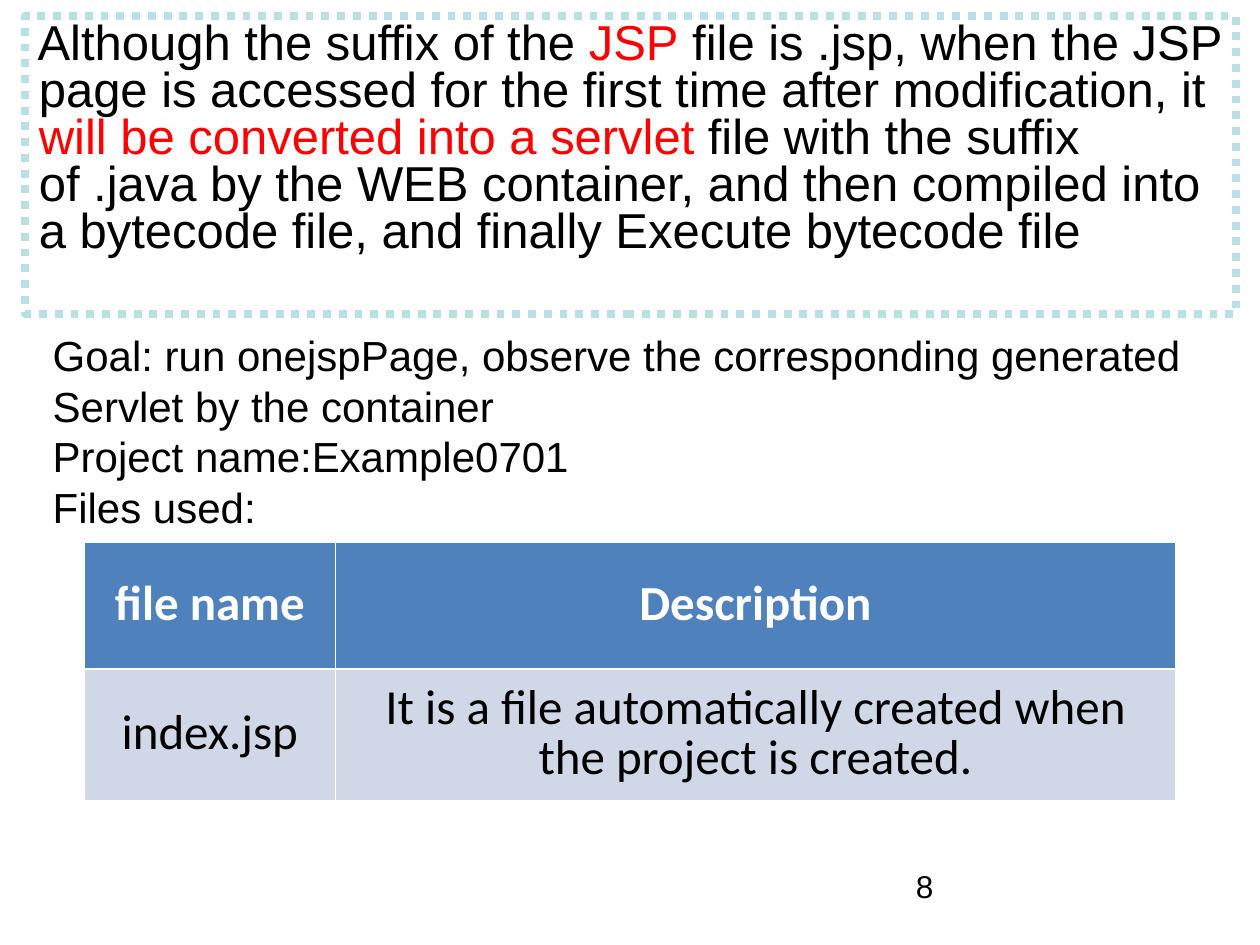
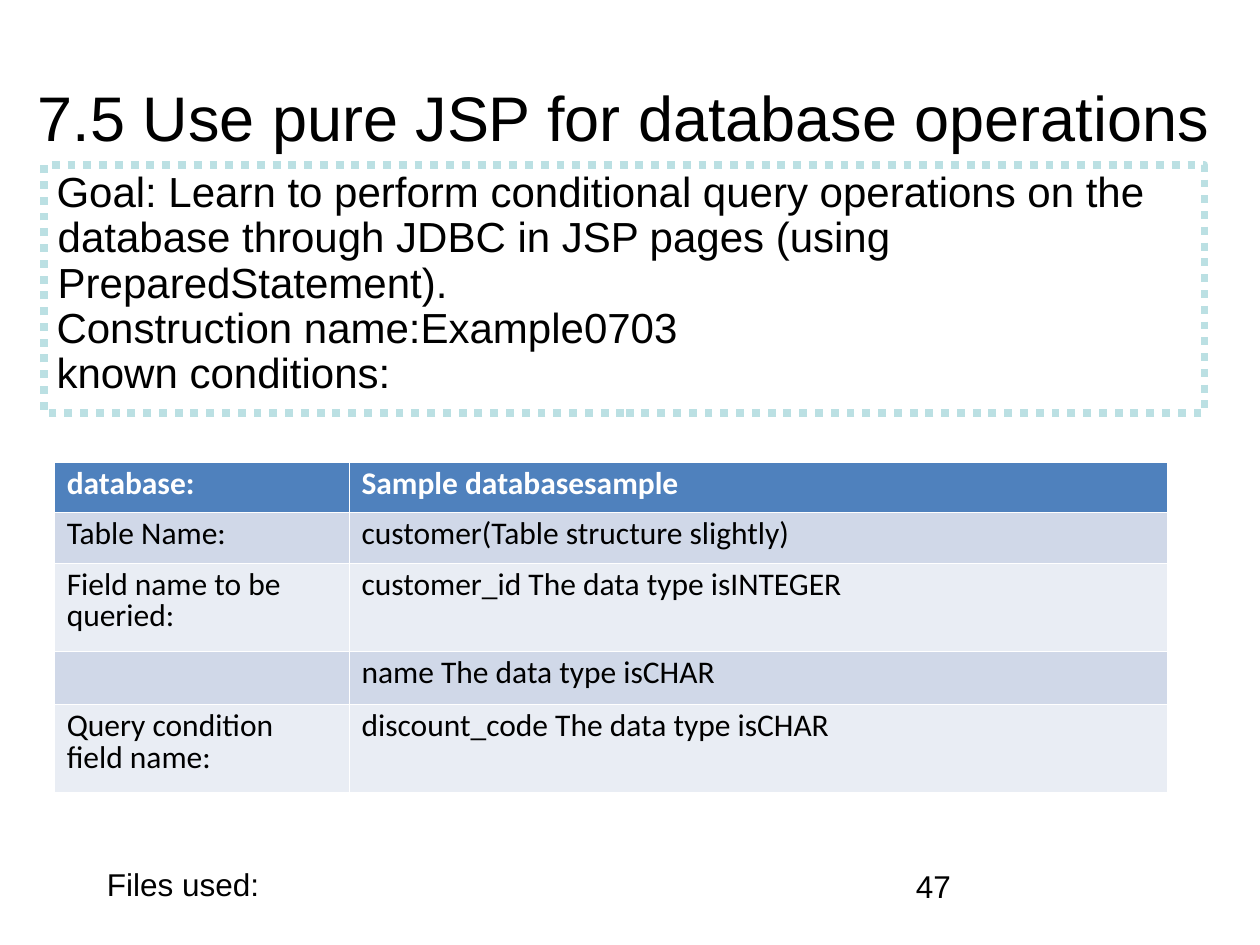
from dataclasses import dataclass

from lxml.etree import SubElement
from pptx import Presentation
from pptx.dml.color import RGBColor
from pptx.enum.dml import MSO_LINE
from pptx.enum.shapes import MSO_SHAPE
from pptx.enum.text import MSO_ANCHOR, MSO_AUTO_SIZE, PP_ALIGN
from pptx.oxml.ns import qn
from pptx.slide import Slide
from pptx.table import _Cell
from pptx.text.text import TextFrame, _Paragraph
from pptx.util import Inches, Pt


@dataclass(frozen=True)
class Theme:
    ink: str = "000000"
    accent: str = "FF0000"
    paper: str = "FFFFFF"
    frame: str = "BBE0E3"
    header: str = "4F81BD"
    bands: tuple[str, str] = ("D0D8E8", "E9EDF4")
    body_font: str = "Arial"
    table_font: str = "Calibri"
    title_size: int = 36
    large: int = 28
    medium: int = 24
    small: int = 18
    frame_width: float = 4.5
    rule: float = 0.23
    header_rule: float = 0.75
    table_spacing: float = 0.83


THEME = Theme()


@dataclass(frozen=True)
class Box:
    left: float
    top: float
    width: float
    height: float

    def emu(self) -> list[int]:
        return [Inches(v) for v in (self.left, self.top, self.width, self.height)]


@dataclass(frozen=True)
class Span:
    text: str
    accent: bool = False


@dataclass(frozen=True)
class FramedText:
    box: Box
    paragraphs: list[list[Span]]
    size: int
    spacing: float


@dataclass(frozen=True)
class Label:
    box: Box
    lines: list[str]
    size: int
    wrap: bool = True
    anchor: MSO_ANCHOR = MSO_ANCHOR.TOP


@dataclass(frozen=True)
class Grid:
    left: float
    top: float
    columns: list[float]
    heights: list[float]
    rows: list[list[str]]
    size: int
    align: PP_ALIGN = PP_ALIGN.LEFT
    anchor: MSO_ANCHOR = MSO_ANCHOR.TOP


def rgb(value: str) -> RGBColor:
    return RGBColor.from_string(value)


def style(paragraph: _Paragraph, size: int, font: str = THEME.body_font,
          color: str = THEME.ink, bold: bool = False) -> None:
    paragraph.font.name = font
    paragraph.font.size = Pt(size)
    paragraph.font.bold = bold
    paragraph.font.color.rgb = rgb(color)


def write(frame: TextFrame, paragraphs: list[list[Span]], size: int) -> None:
    for index, spans in enumerate(paragraphs):
        paragraph = frame.add_paragraph() if index else frame.paragraphs[0]
        paragraph.alignment = PP_ALIGN.LEFT
        style(paragraph, size)
        for span in spans:
            run = paragraph.add_run()
            run.text = span.text
            if len(spans) > 1:
                run.font.color.rgb = rgb(THEME.accent if span.accent else THEME.ink)


def draw_label(slide: Slide, label: Label) -> None:
    frame = slide.shapes.add_textbox(*label.box.emu()).text_frame
    frame.word_wrap = label.wrap
    if not label.wrap:
        frame.auto_size = MSO_AUTO_SIZE.SHAPE_TO_FIT_TEXT
    frame.vertical_anchor = label.anchor
    write(frame, [[Span(line)] for line in label.lines], label.size)


def draw_framed_text(slide: Slide, framed: FramedText) -> None:
    panel = slide.shapes.add_shape(MSO_SHAPE.RECTANGLE, *framed.box.emu())
    panel.shadow.inherit = False
    panel.fill.background()
    panel.line.color.rgb = rgb(THEME.frame)
    panel.line.width = Pt(THEME.frame_width)
    panel.line.dash_style = MSO_LINE.ROUND_DOT
    frame = panel.text_frame
    frame.word_wrap = True
    frame.vertical_anchor = MSO_ANCHOR.TOP
    write(frame, framed.paragraphs, framed.size)
    for paragraph in frame.paragraphs:
        paragraph.line_spacing = framed.spacing
        properties = paragraph._p.get_or_add_pPr()
        properties.set("marL", str(Inches(0.01)))
        properties.set("indent", str(-Inches(0.01)))


def set_borders(cell: _Cell, row: int) -> None:
    """Thin white rules, with a stronger one under the header row."""
    properties = cell._tc.get_or_add_tcPr()
    for side in ("lnL", "lnR", "lnT", "lnB"):
        strong = (row, side) in ((0, "lnB"), (1, "lnT"))
        width = THEME.header_rule if strong else THEME.rule
        line = SubElement(properties, qn(f"a:{side}"), w=str(Pt(width)))
        fill = SubElement(line, qn("a:solidFill"))
        SubElement(fill, qn("a:srgbClr"), val=THEME.paper)


def draw_grid(slide: Slide, grid: Grid) -> None:
    box = Box(grid.left, grid.top, sum(grid.columns), sum(grid.heights))
    table = slide.shapes.add_table(len(grid.rows), len(grid.columns), *box.emu()).table
    table.horz_banding = False
    for column, width in zip(table.columns, grid.columns):
        column.width = Inches(width)
    for r, (height, texts) in enumerate(zip(grid.heights, grid.rows)):
        table.rows[r].height = Inches(height)
        is_header = r == 0
        for c, text in enumerate(texts):
            cell = table.cell(r, c)
            set_borders(cell, r)
            cell.fill.solid()
            cell.fill.fore_color.rgb = rgb(
                THEME.header if is_header else THEME.bands[(r - 1) % 2])
            cell.vertical_anchor = grid.anchor
            cell.text = text
            paragraph = cell.text_frame.paragraphs[0]
            paragraph.alignment = grid.align
            paragraph.line_spacing = THEME.table_spacing
            style(paragraph, grid.size, THEME.table_font,
                  THEME.paper if is_header else THEME.ink, is_header)


def add_numbered_slide(deck: Presentation, number: int) -> Slide:
    slide = deck.slides.add_slide(deck.slide_layouts[6])
    draw_label(slide, Label(Box(7.17, 6.83, 2.33, 0.52), [str(number)], THEME.small))
    return slide


def build_servlet_slide(deck: Presentation) -> None:
    slide = add_numbered_slide(deck, 8)
    # How a JSP file is processed
    draw_framed_text(slide, FramedText(Box(0.2, 0.13, 9.61, 2.36), [[
        Span("Although the suffix of the "),
        Span("JSP", accent=True),
        Span(" file is .jsp, when the JSP page is accessed for the first time "
             "after modification, it "),
        Span("will be converted into a servlet ", accent=True),
        Span("file with the suffix of .java by the WEB container, and then compiled "
             "into a bytecode file, and finally Execute bytecode file"),
    ]], THEME.large, 0.8))
    # Files of the example
    draw_grid(slide, Grid(
        0.67, 4.3, [1.99, 6.67], [1.01, 1.04],
        [["file name", "Description"],
         ["index.jsp", "It is a file automatically created when the project is created."]],
        THEME.large, PP_ALIGN.CENTER, MSO_ANCHOR.MIDDLE))
    # Goal of the example
    draw_label(slide, Label(Box(0.32, 2.57, 9.24, 1.7), [
        "Goal: run onejspPage, observe the corresponding generated",
        "Servlet by the container",
        "Project name:Example0701",
        "Files used:",
    ], THEME.medium, wrap=False))


def build_database_slide(deck: Presentation) -> None:
    slide = add_numbered_slide(deck, 47)
    # Title
    draw_label(slide, Label(Box(0.2, 0.3, 9.69, 1.25),
                            ["7.5 Use pure JSP for database operations"],
                            THEME.title_size, anchor=MSO_ANCHOR.MIDDLE))
    # Goal of the example
    goal = ["Goal: Learn to perform conditional query operations on the database "
            "through JDBC in JSP pages (using PreparedStatement).",
            "Construction name:Example0703",
            "known conditions:"]
    draw_framed_text(slide, FramedText(Box(0.35, 1.31, 9.21, 1.97),
                                       [[Span(line)] for line in goal],
                                       THEME.medium, 0.9))
    # Known conditions
    draw_grid(slide, Grid(
        0.43, 3.67, [2.34, 6.49], [0.4, 0.4, 0.7, 0.42, 0.7],
        [["database:", "Sample databasesample"],
         ["Table Name:", "customer(Table structure slightly)"],
         ["Field name to be queried:", "customer_id The data type isINTEGER"],
         ["", "name The data type isCHAR"],
         ["Query condition field name:", "discount_code The data type isCHAR"]],
        THEME.small))
    draw_label(slide, Label(Box(0.75, 6.82, 1.41, 0.4), ["Files used:"],
                            THEME.small, wrap=False))


def main() -> None:
    deck = Presentation()
    deck.slide_width, deck.slide_height = Inches(10), Inches(7.5)
    build_servlet_slide(deck)
    build_database_slide(deck)
    deck.save("out.pptx")


if __name__ == "__main__":
    main()
